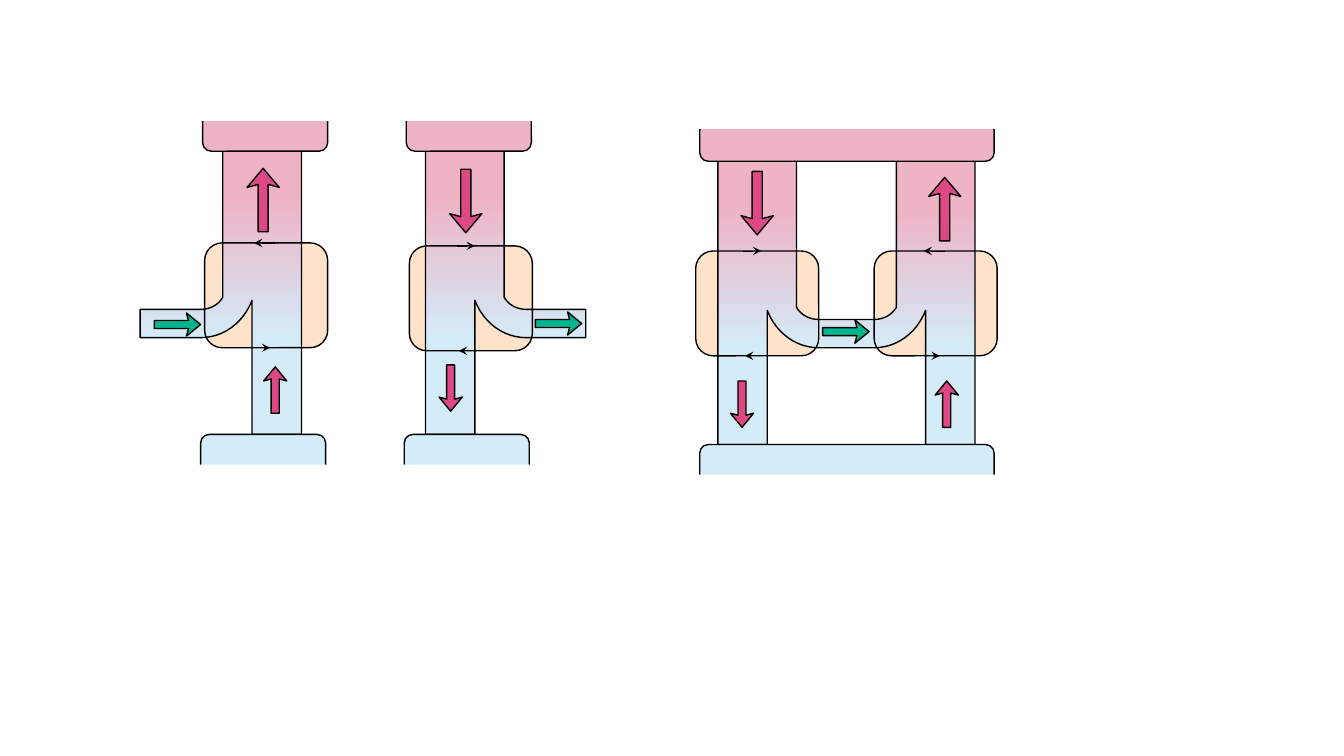
from copy import deepcopy
from dataclasses import dataclass

from lxml import etree
from pptx import Presentation
from pptx.dml.color import RGBColor
from pptx.enum.shapes import MSO_CONNECTOR, MSO_SHAPE
from pptx.oxml.ns import qn
from pptx.util import Inches, Pt

RECTANGLE = MSO_SHAPE.RECTANGLE
ROUNDED = MSO_SHAPE.ROUNDED_RECTANGLE
STRAIGHT = MSO_CONNECTOR.STRAIGHT

Point = tuple[float, float]


@dataclass(frozen=True)
class Theme:
    white: str = "FFFFFF"
    black: str = "000000"
    warm: str = "EEB4C6"
    cold: str = "D3ECF8"
    valve: str = "FEE2CA"
    main_flow: str = "DE4985"
    side_flow: str = "00B48D"
    outline: float = 1
    rotation_line: float = 0.5


@dataclass(frozen=True)
class ArrowSize:
    length: float
    half_head: float
    half_shaft: float
    barb: float
    neck: float


@dataclass(frozen=True)
class Column:
    edge: float
    side: int
    top: float
    valve_left: float
    valve_top: float
    upper_arrow: Point
    lower_arrow: Point


@dataclass(frozen=True)
class Tank:
    left: float
    top: float
    width: float
    fill: str
    cover_left: float
    cover_top: float
    cover_width: float


@dataclass(frozen=True)
class Unit:
    columns: tuple[Column, ...]
    reach: float
    side_arrow: Point
    tanks: tuple[Tank, ...]


THEME = Theme()
LARGE = ArrowSize(0.63, 0.16, 0.05, 0.19, 0.16)
SMALL = ArrowSize(0.46, 0.115, 0.04, 0.14, 0.12)
VALVE_WIDTH, VALVE_HEIGHT = 1.22, 1.04
TANK_HEIGHT, TANK_CORNER, COVER_HEIGHT = 0.39, 0.217, 0.44
COLUMN_WIDTH, STEM_WIDTH, COLUMN_HEIGHT = 0.78, 0.49, 2.81
PIPE_TOP, PIPE_BOTTOM = 1.57, 1.85
CURVE_STEPS = 12
GRADIENT = ((0, THEME.cold), (0.33, THEME.cold), (0.83, THEME.warm), (1, THEME.warm))

UNITS = (
    Unit((Column(4.22, 1, 1.5, 4.06, 2.44, (4.62, 1.68), (4.47, 3.62)),), 1.59, (5.31, 3.21),
         (Tank(4.03, 1.11, 1.24, THEME.warm, 4.01, 0.76, 1.31),
          Tank(4.01, 4.31, 1.24, THEME.cold, 3.96, 4.61, 1.31))),
    Unit((Column(2.99, -1, 1.5, 2.03, 2.41, (2.61, 1.67), (2.73, 3.64)),), 1.6, (1.53, 3.22),
         (Tank(2.01, 1.11, 1.24, THEME.warm, 1.99, 0.76, 1.31),
          Tank(1.99, 4.31, 1.24, THEME.cold, 1.94, 4.61, 1.31))),
    Unit((Column(7.12, 1, 1.6, 6.9, 2.49, (7.51, 1.7), (7.36, 3.78)),
          Column(9.67, -1, 1.6, 8.67, 2.49, (9.37, 1.76), (9.39, 3.78))), 1.275, (8.16, 3.29),
         (Tank(6.94, 1.21, 2.92, THEME.warm, 6.74, 0.84, 3.43),
          Tank(6.94, 4.41, 2.92, THEME.cold, 6.64, 4.71, 3.43))),
)


def style(shape, fill: str | None, outlined: bool = True) -> None:
    shape.shadow.inherit = False
    if fill:
        shape.fill.solid()
        shape.fill.fore_color.rgb = RGBColor.from_string(fill)
    else:
        shape.fill.background()
    if outlined:
        for name, value in {"width": Pt(THEME.outline)}.items():
            setattr(shape.line, name, value)
        shape.line.color.rgb = RGBColor.from_string(THEME.black)
    else:
        shape.line.fill.background()


def add_box(slide, kind, left: float, top: float, width: float, height: float,
            fill: str | None, outlined: bool = True):
    shape = slide.shapes.add_shape(kind, Inches(left), Inches(top), Inches(width), Inches(height))
    style(shape, fill, outlined)
    return shape


def add_outline(slide, points: list[Point], fill: str):
    vertices = [(Inches(x), Inches(y)) for x, y in points]
    builder = slide.shapes.build_freeform(*vertices[0])
    builder.add_line_segments(vertices[1:], close=True)
    shape = builder.convert_to_shape()
    style(shape, fill)
    return shape


def add_arrow(slide, tip: Point, direction: Point, size: ArrowSize, fill: str) -> None:
    right = [(0, 0), (size.barb, size.half_head), (size.neck, size.half_shaft),
             (size.length, size.half_shaft)]
    profile = right + [(back, -across) for back, across in reversed(right[1:])]
    dx, dy = direction
    points = [(tip[0] - back * dx - across * dy, tip[1] - back * dy + across * dx)
              for back, across in profile]
    add_outline(slide, points, fill)


def add_rotation(slide, column: Column, y: float, rightward: bool) -> None:
    start, end = (0.47, 0.65) if rightward else (0.7, 0.49)
    connector = slide.shapes.add_connector(
        STRAIGHT, Inches(column.valve_left + start), Inches(y),
        Inches(column.valve_left + end), Inches(y))
    connector.line.width = Pt(THEME.rotation_line)
    connector.line.color.rgb = RGBColor.from_string(THEME.black)
    etree.SubElement(connector.line._get_or_add_ln(), qn("a:tailEnd"), type="stealth")
    etree.SubElement(connector._element.spPr, qn("a:effectLst"))


def curve(*controls: Point) -> list[Point]:
    points = []
    for step in range(CURVE_STEPS + 1):
        t = step / CURVE_STEPS
        weights = ((1 - t) ** 3, 3 * t * (1 - t) ** 2, 3 * t * t * (1 - t), t ** 3)
        points.append((sum(w * c[0] for w, c in zip(weights, controls)),
                       sum(w * c[1] for w, c in zip(weights, controls))))
    return points


def column_sides(column: Column, reach: float) -> tuple[list[Point], list[Point]]:
    outer = [(0, COLUMN_HEIGHT), (0, 0), (COLUMN_WIDTH, 0)]
    outer += curve((COLUMN_WIDTH, 1.45), (0.83, 1.53), (0.91, PIPE_TOP), (1.01, PIPE_TOP))
    outer.append((reach, PIPE_TOP))
    inner = [(reach, PIPE_BOTTOM)]
    inner += curve((1, PIPE_BOTTOM), (0.78, PIPE_BOTTOM), (0.58, 1.71), (STEM_WIDTH, 1.48))
    inner.append((STEM_WIDTH, COLUMN_HEIGHT))
    first, second = ([(column.edge + column.side * x, column.top + y) for x, y in side]
                     for side in (outer, inner))
    return first, second


def add_pipe(slide, unit: Unit) -> None:
    outer, inner = column_sides(unit.columns[0], unit.reach)
    for column in unit.columns[1:]:
        far_outer, far_inner = column_sides(column, unit.reach)
        outer = outer + far_outer[::-1] + far_inner[::-1]
    pipe = add_outline(slide, outer + inner, THEME.cold)
    pipe.fill.gradient()
    pipe.fill.gradient_angle = 90
    stop_list = pipe._element.spPr.find(qn("a:gradFill")).find(qn("a:gsLst"))
    while len(stop_list) < len(GRADIENT):
        stop_list.append(deepcopy(stop_list[0]))
    for stop, (position, color) in zip(pipe.fill.gradient_stops, GRADIENT):
        stop.position = position
        stop.color.rgb = RGBColor.from_string(color)


def add_valve(slide, column: Column, fill: str | None) -> None:
    add_box(slide, ROUNDED, column.valve_left, column.valve_top, VALVE_WIDTH, VALVE_HEIGHT,
            fill, outlined=fill is None)


def add_flow(slide, column: Column) -> None:
    downward = column.side > 0
    for (x, y), size in ((column.upper_arrow, LARGE), (column.lower_arrow, SMALL)):
        tip = (x, y + size.length if downward else y)
        add_arrow(slide, tip, (0, column.side), size, THEME.main_flow)
    add_rotation(slide, column, column.valve_top, downward)
    add_rotation(slide, column, column.valve_top + VALVE_HEIGHT, not downward)


def add_unit(slide, unit: Unit) -> None:
    for column in unit.columns:
        add_valve(slide, column, THEME.valve)
    add_pipe(slide, unit)
    for tank in unit.tanks:
        body = add_box(slide, ROUNDED, tank.left, tank.top, tank.width, TANK_HEIGHT, tank.fill)
        body.adjustments[0] = TANK_CORNER
        add_box(slide, RECTANGLE, tank.cover_left, tank.cover_top, tank.cover_width,
                COVER_HEIGHT, THEME.white, outlined=False)
    for column in unit.columns:
        add_valve(slide, column, None)
        add_flow(slide, column)
    x, y = unit.side_arrow
    add_arrow(slide, (x + SMALL.length, y), (1, 0), SMALL, THEME.side_flow)


def main() -> None:
    presentation = Presentation()
    for name, value in {"slide_width": Inches(13.33), "slide_height": Inches(7.5)}.items():
        setattr(presentation, name, value)
    slide = presentation.slides.add_slide(presentation.slide_layouts[6])
    for unit in UNITS:
        add_unit(slide, unit)
    presentation.save("out.pptx")


if __name__ == "__main__":
    main()
